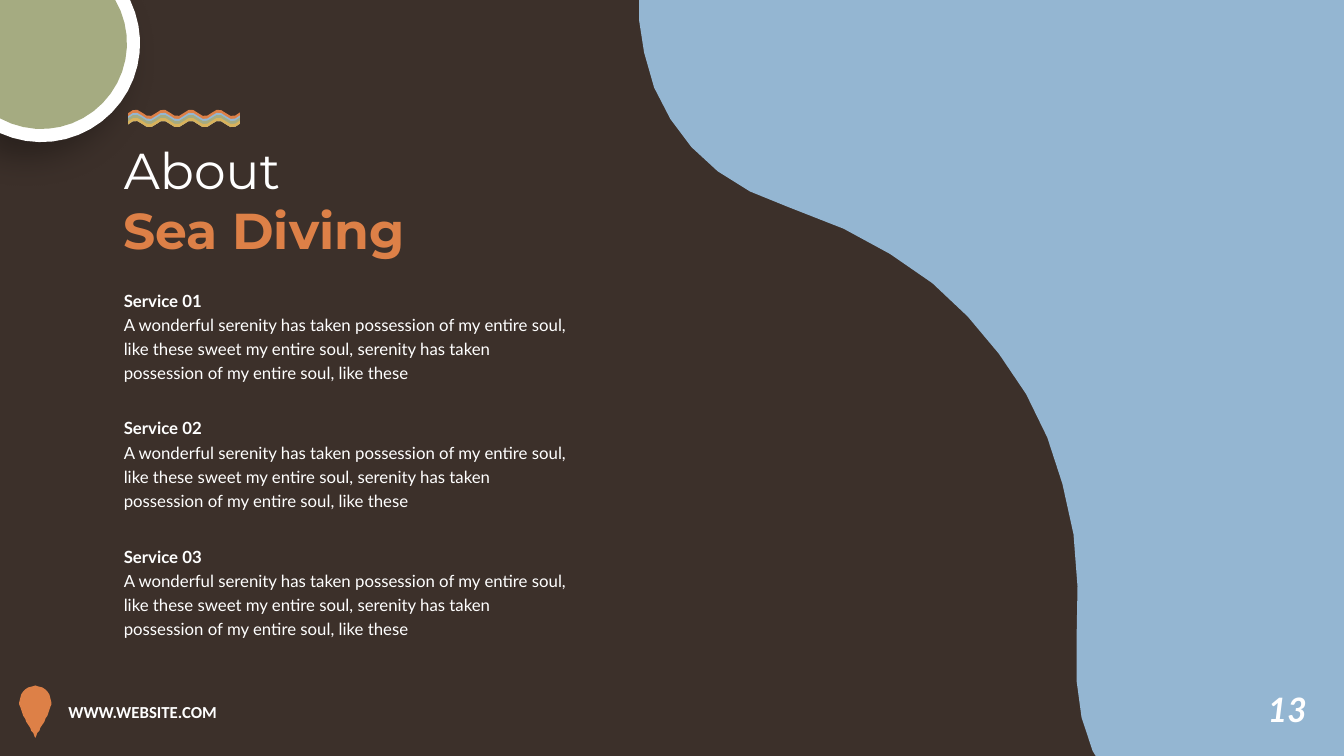
import math
from dataclasses import dataclass

import lxml.etree
import pptx
import pptx.dml.color
import pptx.enum.text
import pptx.oxml.ns
import pptx.util

Point = tuple[float, float]

BROWN, BLUE, ORANGE = "3C302A", "94B6D2", "DD8047"
GREEN, YELLOW, WHITE = "A5AB81", "D8B25C", "FFFFFF"

BAY = [
    (13.37, 0), (6.34, 0), (6.34, 0.2), (6.39, 0.52), (6.49, 0.87), (6.65, 1.18),
    (6.86, 1.46), (7.12, 1.7), (7.44, 1.9), (7.81, 2.05), (7.86, 2.07), (8.37, 2.27),
    (8.83, 2.52), (9.25, 2.81), (9.6, 3.14), (9.91, 3.51), (10.18, 3.91),
    (10.39, 4.34), (10.54, 4.8), (10.65, 5.3), (10.69, 5.82), (10.68, 6.37),
    (10.68, 6.75), (10.73, 7.12), (10.84, 7.45), (10.87, 7.5), (13.37, 7.5),
]
PIN_CENTRE = 0.35
PIN_RIGHT_SIDE = [
    (0.35, 6.8), (0.38, 6.81), (0.42, 6.82), (0.45, 6.84), (0.47, 6.86), (0.49, 6.89),
    (0.5, 6.93), (0.51, 6.97), (0.51, 6.99), (0.5, 7.01), (0.49, 7.04), (0.48, 7.07),
    (0.47, 7.1), (0.45, 7.13), (0.44, 7.16), (0.42, 7.19), (0.4, 7.22), (0.39, 7.25),
    (0.37, 7.27), (0.36, 7.3), (0.35, 7.32),
]
SERVICE_TEXT = (
    "A wonderful serenity has taken possession of my entire soul, like these sweet "
    "my entire soul, serenity has taken possession of my entire soul, like these"
)


@dataclass
class Span:
    text: str
    colour: str
    format: dict


@dataclass
class Box:
    left: float
    top: float
    width: float
    height: float
    spans: list[Span]
    wrap: bool = True
    line_spacing: float | None = None


@dataclass
class Disc:
    radius: float
    colour: str


@dataclass
class Band:
    top: float
    colour: str


def length(inches: float) -> pptx.util.Cm:
    return pptx.util.Cm(inches * 2.54)


def rgb(colour: str) -> pptx.dml.color.RGBColor:
    return pptx.dml.color.RGBColor.from_string(colour)


def add_outline(shapes, points: list[Point], colour: str):
    corners = [(length(x), length(y)) for x, y in points]
    builder = shapes.build_freeform(*corners[0])
    builder.add_line_segments(corners[1:])
    shape = builder.convert_to_shape()
    shape.shadow.inherit = False
    shape.fill.solid()
    shape.fill.fore_color.rgb = rgb(colour)
    shape.line.fill.background()
    return shape


def add_soft_shadow(shape) -> None:
    tag = pptx.oxml.ns.qn
    effects = shape._element.spPr.find(tag("a:effectLst"))
    shadow = lxml.etree.SubElement(
        effects, tag("a:outerShdw"),
        blurRad=str(pptx.util.Pt(23)), dist=str(pptx.util.Pt(15)),
        dir=str(135 * 60000), algn="tr", rotWithShape="0",
    )
    black = lxml.etree.SubElement(shadow, tag("a:srgbClr"), val="000000")
    lxml.etree.SubElement(black, tag("a:alpha"), val="29000")


def corner_disc(radius: float) -> list[Point]:
    """Outline of a disc cut off by the top and left edges of the page."""
    centre_x, centre_y, steps = 0.41, 0.43, 18
    first = -math.asin(centre_y / radius)
    last = math.pi - math.acos(centre_x / radius)
    angles = [first + (last - first) * step / steps for step in range(steps + 1)]
    arc = [(centre_x + radius * math.cos(angle), centre_y + radius * math.sin(angle))
           for angle in angles]
    return [(0, 0), *arc]


def wave_edge(middle: float) -> list[Point]:
    left, right, period, height, steps = 1.27, 2.38, 0.275, 0.033, 24
    columns = [left + (right - left) * step / steps for step in range(steps + 1)]
    return [(x, middle - height * math.sin(math.tau * (x - 1.55) / period))
            for x in columns]


def add_text(shapes, box: Box) -> None:
    frame = shapes.add_textbox(
        *map(length, (box.left, box.top, box.width, box.height))).text_frame
    frame.word_wrap = box.wrap
    frame.auto_size = pptx.enum.text.MSO_AUTO_SIZE.SHAPE_TO_FIT_TEXT
    for index, span in enumerate(box.spans):
        para = frame.add_paragraph() if index else frame.paragraphs[0]
        para.line_spacing = box.line_spacing
        run = para.add_run()
        run.text = span.text
        run.font.color.rgb = rgb(span.colour)
        for name, value in span.format.items():
            setattr(run.font, name, value)


def main() -> None:
    deck = pptx.Presentation()
    deck.slide_width, deck.slide_height = length(13.333), length(7.5)
    page = deck.slides.add_slide(deck.slide_layouts[6])
    page.background.fill.solid()
    page.background.fill.fore_color.rgb = rgb(BROWN)
    shapes = page.shapes

    title = {"name": "Montserrat", "size": pptx.util.Pt(36)}
    body = {"name": "Lato", "size": pptx.util.Pt(12)}
    number = {"name": "Lato", "size": pptx.util.Pt(24), "bold": True, "italic": True}
    website = {"name": "Calibri", "size": pptx.util.Pt(12), "bold": True}

    add_outline(shapes, BAY, BLUE)
    add_text(shapes, Box(12.48, 6.79, 0.59, 0.5, [Span("13", WHITE, number)], wrap=False))

    pin_left_side = [(2 * PIN_CENTRE - x, y) for x, y in PIN_RIGHT_SIDE[-2:0:-1]]
    add_outline(shapes, PIN_RIGHT_SIDE + pin_left_side, ORANGE)
    add_text(shapes, Box(0.58, 6.91, 2.53, 0.3, [Span("WWW.WEBSITE.COM", WHITE, website)]))

    corner = shapes.add_group_shape()
    rim, _ = [add_outline(corner.shapes, corner_disc(disc.radius), disc.colour)
              for disc in (Disc(0.98, WHITE), Disc(0.85, GREEN))]
    add_soft_shadow(rim)

    add_text(shapes, Box(1.13, 1.33, 3.77, 1.31, [
        Span("About", WHITE, title),
        Span("Sea Diving", ORANGE, title | {"bold": True}),
    ]))

    waves = shapes.add_group_shape()
    for band in (Band(1.12, ORANGE), Band(1.15, BLUE),
                 Band(1.17, GREEN), Band(1.2, YELLOW)):
        outline = wave_edge(band.top) + wave_edge(1.23)[::-1]
        add_outline(waves.shapes, outline, band.colour)

    for index in range(3):
        add_text(shapes, Box(1.13, 2.79 + 1.27 * index, 4.61, 1.05, [
            Span(f"Service {index + 1:02}", WHITE, body | {"bold": True}),
            Span(SERVICE_TEXT, WHITE, body),
        ], line_spacing=1.2))

    deck.save("out.pptx")


if __name__ == "__main__":
    main()
